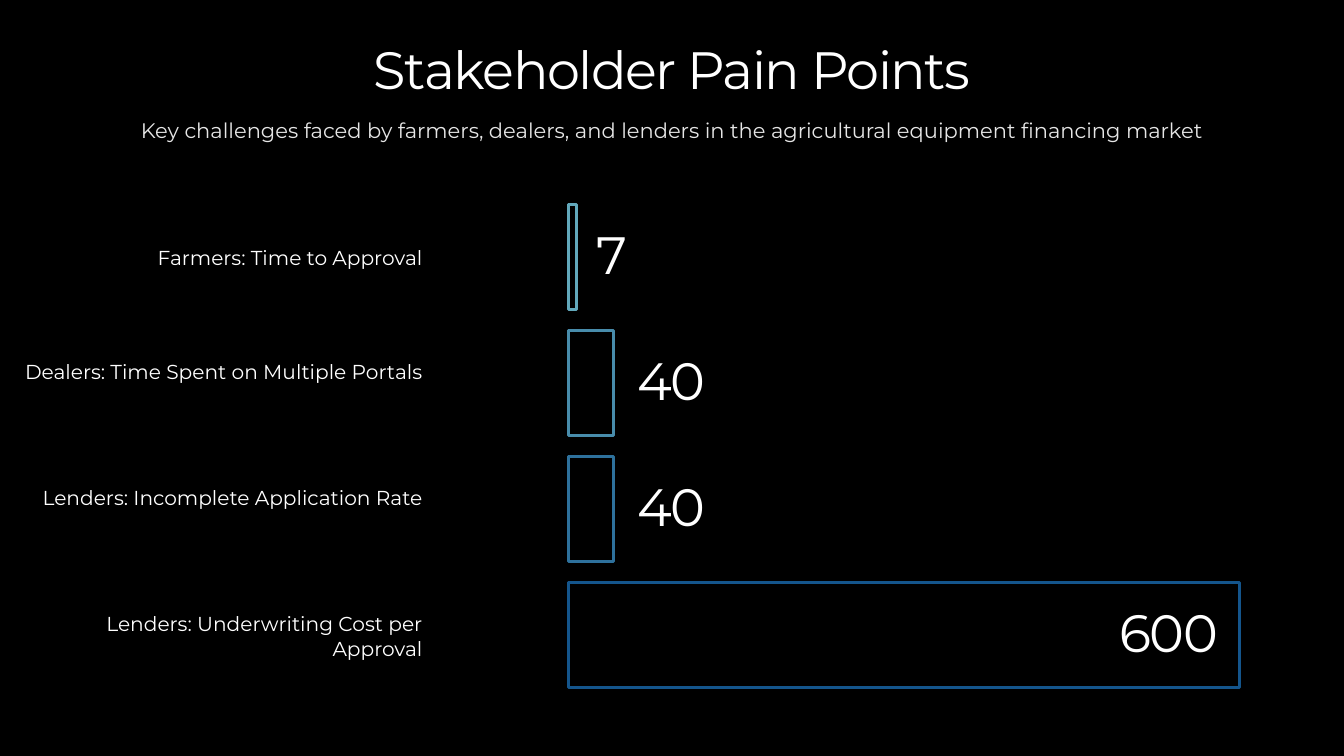
from lxml.etree import SubElement
from pptx import Presentation
from pptx.dml.color import RGBColor
from pptx.enum.shapes import MSO_SHAPE
from pptx.enum.text import MSO_ANCHOR, MSO_AUTO_SIZE, PP_ALIGN
from pptx.oxml.ns import qn
from pptx.util import Inches, Pt

WIDE, HIGH = 13.33, 7.5
HUES = {"back": "000000", "text": "FFFFFF", "teal": "62A8BB",
        "sky": "488CAB", "blue": "2E719C", "navy": "14558C"}

# Bar grid
LEFT, TOP, SPAN = 5.64, 2.03, 6.65
BAR, STEP = 1.04, 1.25
PEAK = 600
GAP, INSET = 0.15, 0.21

# Label, value, width of the value box, label offset and height, colour
ROWS = [
    ("Farmers: Time to Approval", 7, 0.36, 0.39, 0.25, "teal"),
    ("Dealers: Time Spent on Multiple Portals", 40, 0.76, 0.27, 0.5, "sky"),
    ("Lenders: Incomplete Application Rate", 40, 0.76, 0.27, 0.5, "blue"),
    ("Lenders: Underwriting Cost per Approval", 600, 1.09, 0.27, 0.5, "navy"),
]


def place(box, x, y, w, h):
    box.left, box.top, box.width, box.height = map(Inches, (x, y, w, h))
    return box


def write(box, text, size, lead, align, anchor=MSO_ANCHOR.TOP, track=0):
    frame = box.text_frame
    frame.auto_size = MSO_AUTO_SIZE.NONE
    frame.word_wrap = True
    frame.vertical_anchor = anchor
    frame.margin_left = frame.margin_right = 0
    frame.margin_top = frame.margin_bottom = 0
    para = frame.paragraphs[0]
    para.alignment = align
    para.line_spacing = Pt(lead)
    para.space_before = Pt(0)
    run = para.add_run()
    run.text = text
    run.font.name = "Montserrat"
    run.font.size = Pt(size)
    run.font.color.rgb = RGBColor.from_string(HUES["text"])
    if track:
        run.font._element.set("spc", str(track))
    return run


deck = Presentation()
deck.slide_width, deck.slide_height = Inches(WIDE), Inches(HIGH)
slide = deck.slides.add_slide(deck.slide_layouts[5])
slide.background.fill.solid()
slide.background.fill.fore_color.rgb = RGBColor.from_string(HUES["back"])
shapes = slide.shapes

# Title and subtitle
title = place(shapes.title, 0, 0.41, WIDE, 0.58)
write(title, "Stakeholder Pain Points", 37.5, 42, PP_ALIGN.CENTER, track=-110)

sub = place(shapes.add_textbox(0, 0, 0, 0), 0, 1.12, WIDE, 0.29)
run = write(sub, "Key challenges faced by farmers, dealers, and lenders "
            "in the agricultural equipment financing market",
            15, 21, PP_ALIGN.CENTER)
tint = run.font._element.find(".//" + qn("a:srgbClr"))
SubElement(tint, qn("a:alpha")).set("val", "90000")

# Bars with labels and values
for row, (label, value, wide, drop, tall, hue) in enumerate(ROWS):
    y = TOP + row * STEP
    long = SPAN * value / PEAK
    end = LEFT + long

    bar = place(shapes.add_shape(MSO_SHAPE.RECTANGLE, 0, 0, 0, 0),
                LEFT, y, long, BAR)
    bar.shadow.inherit = False
    bar.fill.background()
    bar.line.color.rgb = RGBColor.from_string(HUES[hue])
    bar.line.width = Pt(2)

    name = place(shapes.add_textbox(0, 0, 0, 0), 0.15, y + drop, 4.04, tall)
    write(name, label, 14.4, 18.1, PP_ALIGN.RIGHT)

    # The value sits inside a bar that is long enough, else beside it
    x = end - INSET - wide if long > wide + INSET else end + GAP
    mark = place(shapes.add_textbox(0, 0, 0, 0), x, y + 0.22, wide, 0.58)
    write(mark, str(value), 37.5, 42, PP_ALIGN.RIGHT, MSO_ANCHOR.MIDDLE, -110)

deck.save("out.pptx")
